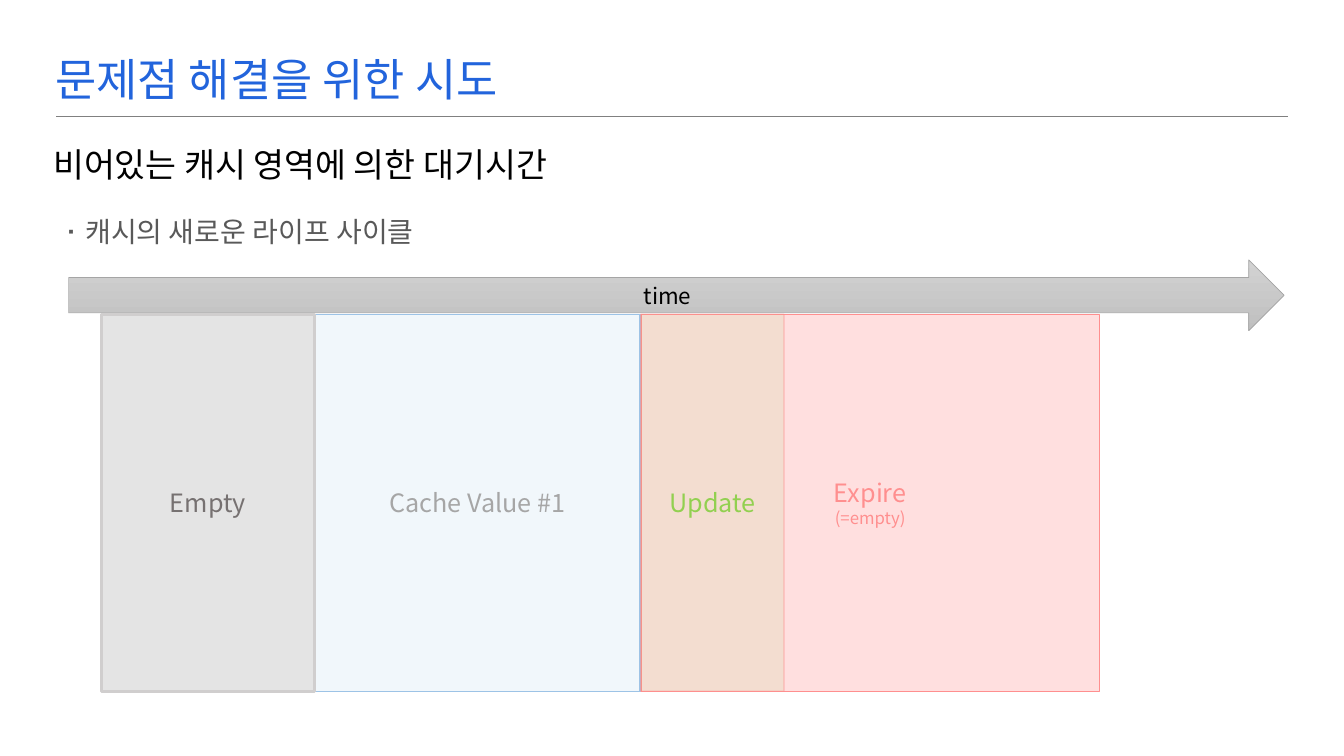
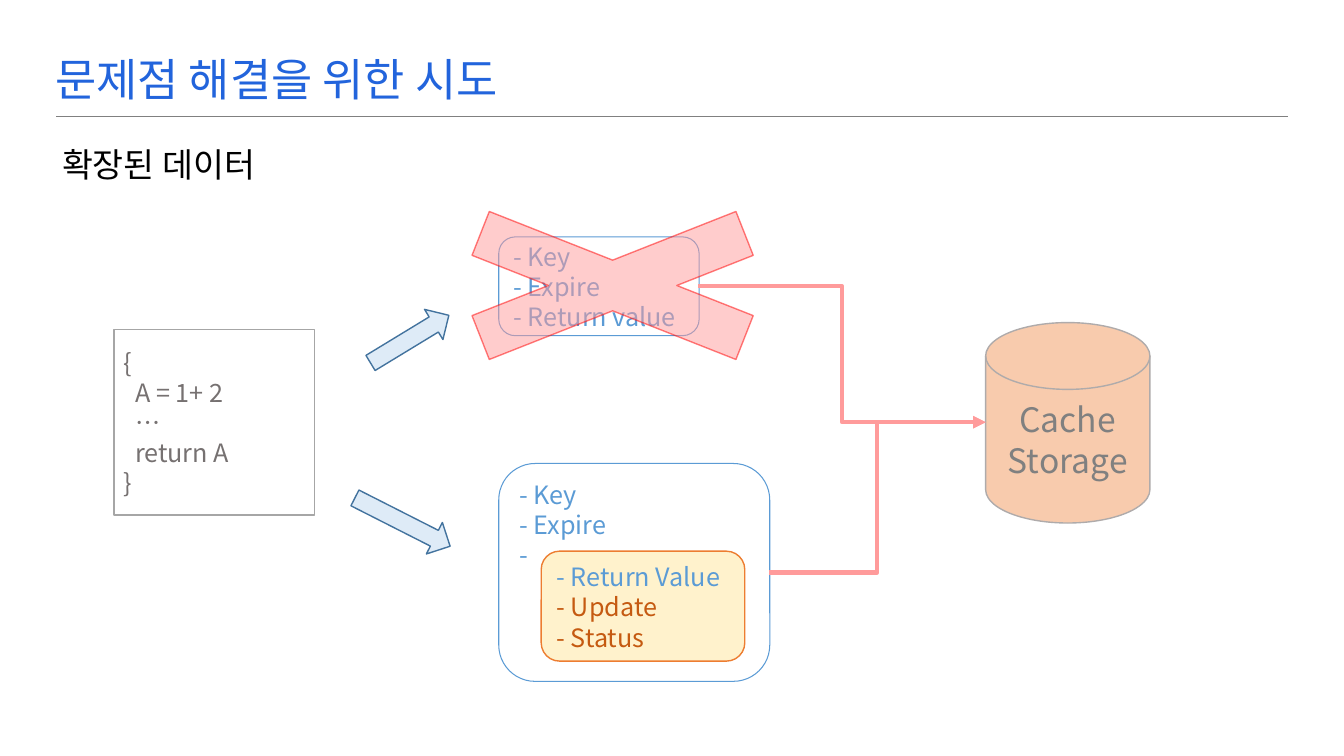
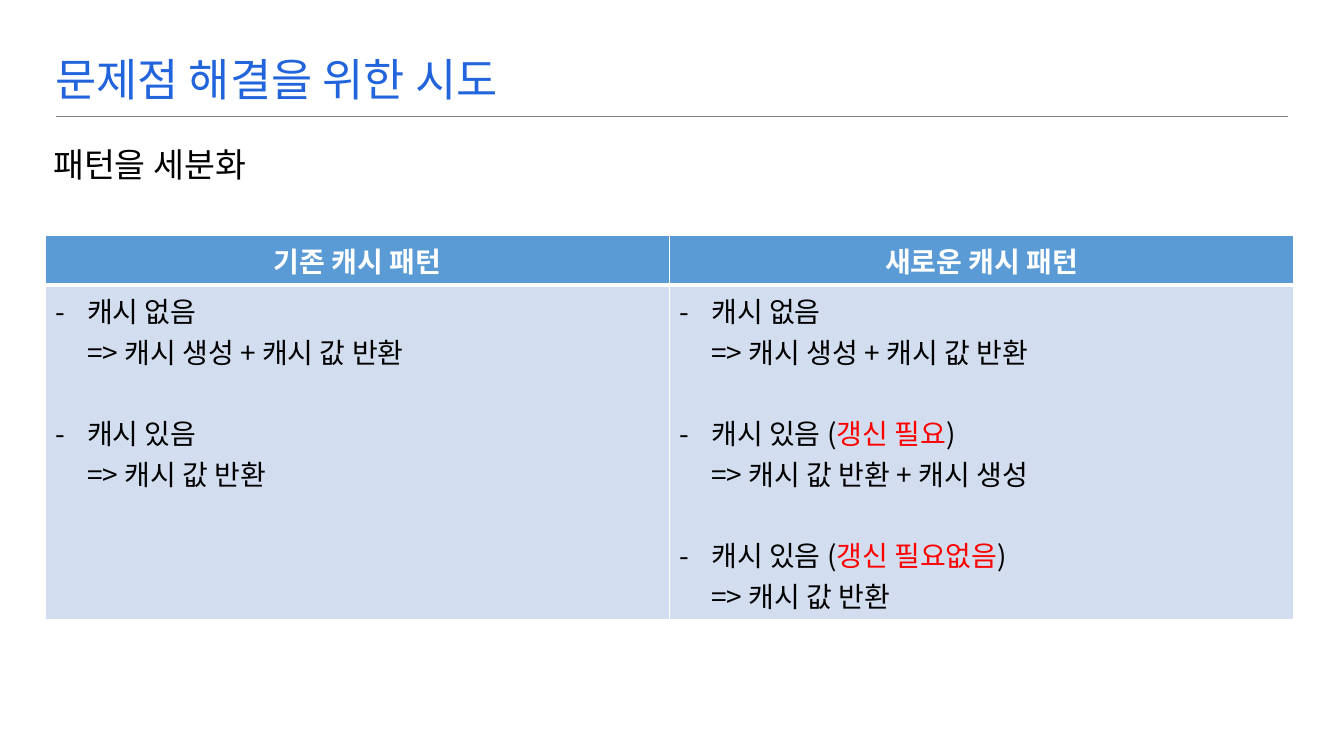
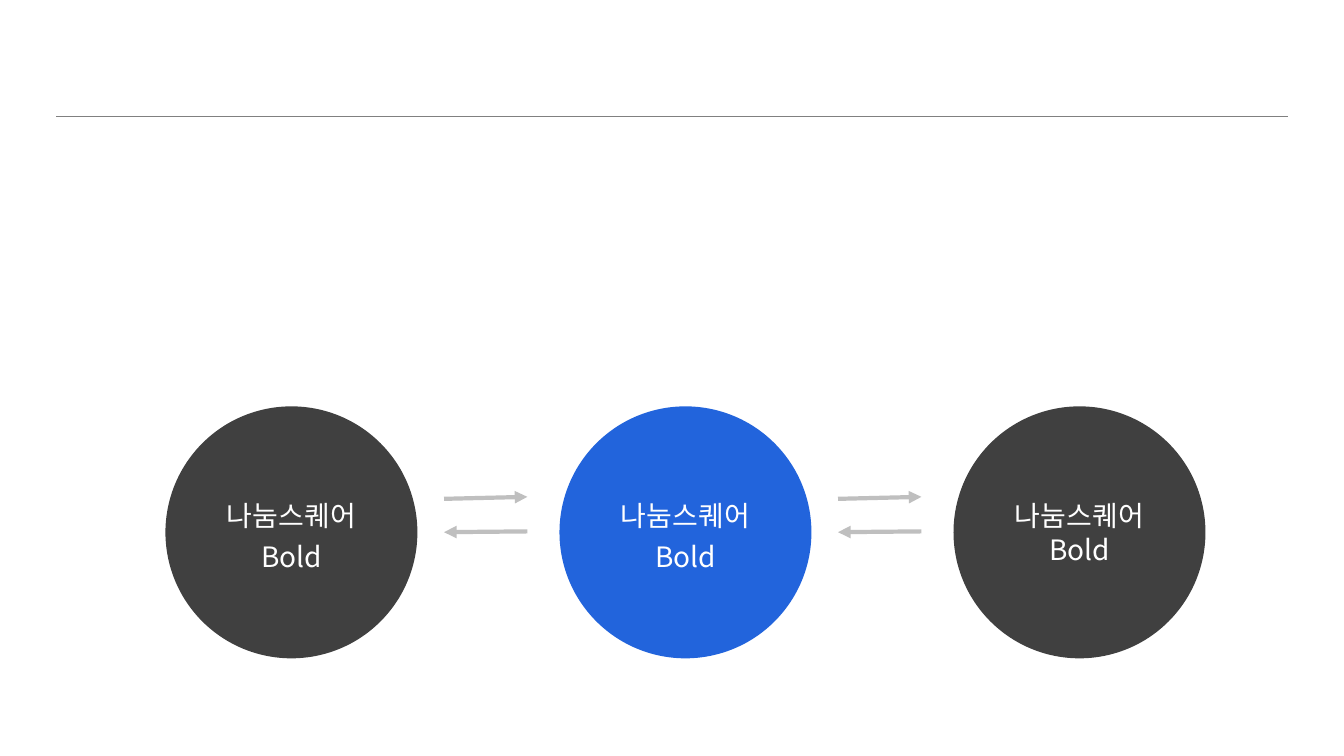
from pptx import Presentation
from pptx.dml.color import RGBColor
from pptx.enum.shapes import MSO_CONNECTOR as Link, MSO_SHAPE as Shape
from pptx.enum.text import MSO_ANCHOR as Anchor, MSO_AUTO_SIZE as AutoSize, PP_ALIGN as Align
from pptx.oxml.ns import qn
from pptx.util import Cm, Pt
from lxml.etree import SubElement

FONT = "Noto Sans CJK KR"
COLORS = {
    "title": "2264DC", "black": "000000", "white": "FFFFFF", "body": "595959",
    "rule": "808080", "red": "FF0000", "expire": "FF6161", "expire_edge": "FF8F8F",
    "value": "BDD7EE", "value_edge": "9DC3E6", "value_label": "A6A6A6",
    "update": "92D050", "empty": "E4E4E4", "empty_edge": "D0CECE", "gray_text": "767171",
    "time_top": "D2D2D2", "time_bottom": "C0C0C0", "time_edge": "A5A5A5",
    "storage": "F8CBAD", "storage_edge": "AFABAB", "blue": "5B9BD5",
    "step": "DEEBF7", "step_edge": "43739E", "new": "FFF2CC", "new_edge": "ED7D31",
    "new_text": "C55A11", "flow": "FF9B9B", "cell": "D2DEEF",
    "dark": "404040", "arrow": "BFBFBF",
}

TITLE = "문제점 해결을 위한 시도"
TITLE_BOX = (1.14, 0.61, 27.41, 2.36)
SUBTITLE_BOX = (1.09, 3.57, 27.46, 1.27)
BULLET_BOX = (1.09, 4.98, 27.46, 8.48)
RULE = (1.42, 2.94, 32.46, 2.94)

BAND_TOP, BAND_HEIGHT = 7.92, 9.5
LIFE_CYCLE = [
    (Shape.RECTANGLE, (16.15, BAND_TOP, 11.56, BAND_HEIGHT),
     dict(fill="expire", opacity=20, line="expire_edge"),
     dict(lines=["Expire", [("(=empty)", dict(size=Pt(12)))]], color="expire_edge")),
    (Shape.RECTANGLE, (4.32, BAND_TOP, 11.81, BAND_HEIGHT),
     dict(fill="value", opacity=20, line="value_edge"), None),
    (Shape.RIGHT_ARROW, (1.73, 6.55, 30.63, 1.78),
     dict(fill=("time_top", "time_bottom"), line="time_edge", width=0.5),
     dict(lines=["time"], size=16, color="black")),
    (Shape.RECTANGLE, (16.15, BAND_TOP, 3.61, BAND_HEIGHT),
     dict(fill="update", opacity=10, line="expire_edge", line_opacity=50),
     dict(lines=["Update"], color="update")),
    (Shape.RECTANGLE, (2.55, BAND_TOP, 5.38, BAND_HEIGHT),
     dict(fill="empty", line="empty_edge", width=2),
     dict(lines=["Empty"], color="gray_text")),
]
VALUE_LABEL_BOX = (9.56, 12.16, 4.95, 1.02)

STEP_LOOK = dict(fill="step", line="step_edge")
RECORD_LOOK = dict(line="blue", width=0.75)
NEW_TEXT = dict(color="new_text")
EXTENDED_DATA = [
    (Shape.FLOWCHART_MAGNETIC_DISK, (24.84, 8.13, 4.14, 5.05),
     dict(fill="storage", line="storage_edge"),
     dict(lines=["Cache", "Storage"], size=24, color="rule")),
    (Shape.ROUNDED_RECTANGLE, (12.57, 5.97, 5.05, 2.49), RECORD_LOOK,
     dict(lines=["- Key", "- Expire", "- Return value"], color="blue", align=Align.LEFT)),
    (Shape.FLOWCHART_PROCESS, (2.87, 8.31, 5.05, 4.67), dict(line="value_label"),
     dict(lines=["{", "  A = 1+ 2", "  …", "  return A", "}"],
          color="gray_text", align=Align.LEFT)),
    (Shape.DOWN_ARROW, (9.88, 7.39, 0.89, 2.31), dict(STEP_LOOK, rotation=238.7), None),
    (Shape.ROUNDED_RECTANGLE, (12.57, 11.68, 6.83, 5.49), RECORD_LOOK,
     dict(lines=["- Key", "- Expire", "-"], color="blue", align=Align.LEFT, anchor=Anchor.TOP)),
    (Shape.DOWN_ARROW, (9.7, 11.81, 0.89, 2.69), dict(STEP_LOOK, rotation=296.9), None),
    (Shape.ROUNDED_RECTANGLE, (13.64, 13.89, 5.13, 2.77), dict(fill="new", line="new_edge"),
     dict(lines=["- Return Value", [("- Update", NEW_TEXT)], [("- Status", NEW_TEXT)]],
          color="blue", align=Align.LEFT, anchor=Anchor.TOP)),
    (Shape.MATH_MULTIPLY, (9.04, 4.67, 12.8, 5.05),
     dict(fill="flow", opacity=50, line="red", line_opacity=50), None),
]
STORAGE_ENTRY = (24.84, 10.64)
RECORD_EXITS = [(17.6, 7.21), (19.38, 14.43)]

RED = dict(color="red")
NO_CACHE = "캐시 없음\n=> 캐시 생성 + 캐시 값 반환"
PATTERNS = [
    ("기존 캐시 패턴", [NO_CACHE, "캐시 있음\n=> 캐시 값 반환"]),
    ("새로운 캐시 패턴", [
        NO_CACHE,
        [("캐시 있음 (", {}), ("갱신 필요", RED), (")\n=> 캐시 값 반환 + 캐시 생성", {})],
        [("캐시 있음 (", {}), ("갱신 필요없음", RED), (")\n=> 캐시 값 반환", {})],
    ]),
]
PATTERN_LEFT, PATTERN_TOP, PATTERN_WIDTH = 1.15, 5.92, 15.73
ROW_HEIGHTS = (1.27, 8.43)
CASE_GAP = 29

CIRCLES = [("dark", 1.2), ("title", 1.2), ("dark", 1)]
CIRCLE_TEXT = "나눔스퀘어 Bold"
CIRCLE_LEFT, CIRCLE_TOP, CIRCLE_SIZE, CIRCLE_STEP = 4.17, 10.24, 6.35, 9.93
EXCHANGE_OFFSET, EXCHANGE_LENGTH = 7.02, 2.1
EXCHANGE_OUT, EXCHANGE_BACK = (12.57, 12.52), (13.39, 13.41)


def rgb(name):
    return RGBColor.from_string(COLORS[name])


def lengths(values):
    return [Cm(value) for value in values]


def set_all(target, values):
    for attribute, value in values.items():
        setattr(target, attribute, value)


def set_opacity(properties, percent):
    color = properties.find(qn("a:solidFill"))[0]
    SubElement(color, qn("a:alpha"), val=str(percent * 1000))


def style_run(run, color, **values):
    set_all(run.font, dict(values, name=FONT))
    run.font.color.rgb = rgb(color)
    latin = run.font._element.find(qn("a:latin"))
    east_asian = SubElement(run.font._element, qn("a:ea"), typeface=FONT)
    latin.addnext(east_asian)


def add_bullet(paragraph, char, left, hanging, percent=100):
    properties = paragraph._p.get_or_add_pPr()
    properties.set("marL", str(Cm(left)))
    properties.set("indent", str(-Cm(hanging)))
    SubElement(properties, qn("a:buSzPct"), val=str(percent * 1000))
    SubElement(properties, qn("a:buFont"), typeface=FONT)
    SubElement(properties, qn("a:buChar"), char=char)


def write(frame, lines, size=18, color="black", align=Align.CENTER, anchor=Anchor.MIDDLE,
          spacing=None, gap=0, bullet=None, bold=False, wrap=True):
    if anchor is not None:
        set_all(frame, dict(word_wrap=wrap, vertical_anchor=anchor))
    for index, line in enumerate(lines):
        paragraph = frame.add_paragraph() if index else frame.paragraphs[0]
        if bullet:
            add_bullet(paragraph, **bullet)
        paragraph.alignment = align
        if spacing:
            paragraph.line_spacing = spacing
        if gap and index:
            paragraph.space_before = Pt(gap)
        for text, changes in [(line, {})] if isinstance(line, str) else line:
            for part_index, part in enumerate(text.split("\n")):
                if part_index:
                    paragraph.add_line_break()
                run = paragraph.add_run()
                run.text = part
                style_run(run, **{"size": Pt(size), "color": color, "bold": bold, **changes})


def add_text(slide, box, lines, **text):
    frame = slide.shapes.add_textbox(*lengths(box)).text_frame
    write(frame, lines, **text)
    return frame


def draw(slide, preset, box, fill=None, opacity=None, line=None, width=1,
         line_opacity=None, rotation=0, text=None):
    shape = slide.shapes.add_shape(preset, *lengths(box))
    shape.shadow.inherit = False
    shape.rotation = rotation
    if isinstance(fill, tuple):
        shape.fill.gradient()
        shape.fill.gradient_angle = 270
        for stop, name in zip(shape.fill.gradient_stops, fill):
            stop.color.rgb = rgb(name)
    elif fill:
        shape.fill.solid()
        shape.fill.fore_color.rgb = rgb(fill)
    else:
        shape.fill.background()
    if line:
        shape.line.color.rgb = rgb(line)
        shape.line.width = Pt(width)
    else:
        shape.line.fill.background()
    properties = shape.element.spPr
    if opacity:
        set_opacity(properties, opacity)
    if line_opacity:
        set_opacity(properties.find(qn("a:ln")), line_opacity)
    if text:
        write(shape.text_frame, **text)


def connect(slide, ends, color, width, kind=Link.STRAIGHT, arrow=True):
    link = slide.shapes.add_connector(kind, *lengths(ends))
    link.line.color.rgb = rgb(color)
    link.line.width = Pt(width)
    if arrow:
        SubElement(link.line._get_or_add_ln(), qn("a:tailEnd"), type="triangle")
    SubElement(link.element.spPr, qn("a:effectLst"))
    return link


def add_titled_slide(deck, subtitle, indent=0):
    slide = deck.slides.add_slide(deck.slide_layouts[5])
    title = slide.shapes.title
    set_all(title, dict(zip(("left", "top", "width", "height"), lengths(TITLE_BOX))))
    title.text_frame.auto_size = AutoSize.NONE
    write(title.text_frame, [TITLE], size=32, color="title", align=Align.LEFT, spacing=1.3)
    frame = add_text(slide, SUBTITLE_BOX, [subtitle], size=24, align=Align.LEFT, spacing=0.9)
    frame.margin_left += Cm(indent)
    return slide


def add_rule_to_master(deck, slide):
    rule = connect(slide, RULE, "rule", 0.75, arrow=False).element
    rule.nvCxnSpPr.cNvPr.set("id", "20")
    deck.slide_master.shapes.element.append(rule)


def draw_all(slide, parts):
    for preset, box, look, text in parts:
        draw(slide, preset, box, text=text, **look)


def build_life_cycle(deck):
    slide = add_titled_slide(deck, "비어있는 캐시 영역에 의한 대기시간")
    add_rule_to_master(deck, slide)
    add_text(slide, BULLET_BOX, ["캐시의 새로운 라이프 사이클"], size=20, color="body",
             align=Align.LEFT, anchor=Anchor.TOP, spacing=1.35,
             bullet=dict(char="▪", left=0.81, hanging=0.53, percent=50))
    draw_all(slide, LIFE_CYCLE)
    add_text(slide, VALUE_LABEL_BOX, ["Cache Value #1"], color="value_label",
             align=Align.LEFT, anchor=Anchor.TOP, wrap=False)


def build_extended_data(deck):
    slide = add_titled_slide(deck, "확장된 데이터", indent=0.22)
    draw_all(slide, EXTENDED_DATA)
    for record_exit in RECORD_EXITS:
        connect(slide, record_exit + STORAGE_ENTRY, "flow", 3, Link.ELBOW)


def format_cell(cell, fill, top, bottom):
    properties = cell._tc.get_or_add_tcPr()
    for side, width in (("L", 1), ("R", 1), ("T", top), ("B", bottom)):
        border = SubElement(properties, qn("a:ln" + side), w=str(Pt(width)))
        SubElement(SubElement(border, qn("a:solidFill")), qn("a:srgbClr"), val=COLORS["white"])
    cell.fill.solid()
    cell.fill.fore_color.rgb = rgb(fill)


def build_patterns(deck):
    slide = add_titled_slide(deck, "패턴을 세분화")
    box = (PATTERN_LEFT, PATTERN_TOP, PATTERN_WIDTH * len(PATTERNS), sum(ROW_HEIGHTS))
    table = slide.shapes.add_table(len(ROW_HEIGHTS), len(PATTERNS), *lengths(box)).table
    for row, height in zip(table.rows, ROW_HEIGHTS):
        row.height = Cm(height)
    for column, (heading, cases) in enumerate(PATTERNS):
        table.columns[column].width = Cm(PATTERN_WIDTH)
        head, body = table.cell(0, column), table.cell(1, column)
        format_cell(head, "blue", 1, 3)
        format_cell(body, "cell", 3, 1)
        head.vertical_anchor = Anchor.MIDDLE
        write(head.text_frame, [heading], size=20, color="white", bold=True, anchor=None)
        write(body.text_frame, cases, size=20, align=Align.LEFT, anchor=None, gap=CASE_GAP,
              bullet=dict(char="-", left=0.79, hanging=0.79))


def build_circles(deck):
    slide = deck.slides.add_slide(deck.slide_layouts[6])
    for index, (fill, spacing) in enumerate(CIRCLES):
        left = CIRCLE_LEFT + index * CIRCLE_STEP
        draw(slide, Shape.OVAL, (left, CIRCLE_TOP, CIRCLE_SIZE, CIRCLE_SIZE), fill=fill,
             text=dict(lines=[CIRCLE_TEXT], size=20, color="white", spacing=spacing))
        if index < len(CIRCLES) - 1:
            start = left + EXCHANGE_OFFSET
            end = start + EXCHANGE_LENGTH
            for begin_x, end_x, (begin_y, end_y) in ((start, end, EXCHANGE_OUT),
                                                     (end, start, EXCHANGE_BACK)):
                connect(slide, (begin_x, begin_y, end_x, end_y), "arrow", 3)


def main():
    deck = Presentation()
    set_all(deck, dict(slide_width=Cm(33.87), slide_height=Cm(19.05)))
    for build in (build_life_cycle, build_extended_data, build_patterns, build_circles):
        build(deck)
    deck.save("out.pptx")


if __name__ == "__main__":
    main()
